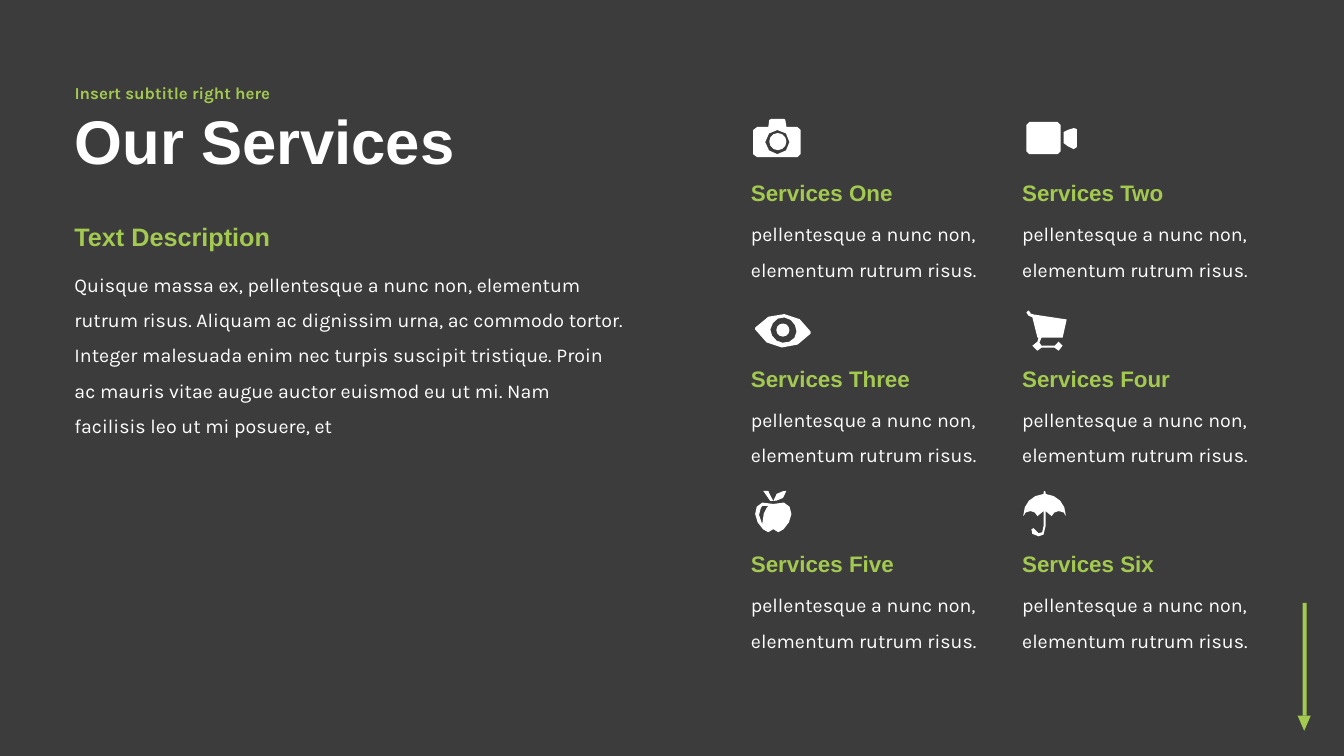
from dataclasses import dataclass
from math import ceil

from pptx import Presentation
from pptx.dml.color import RGBColor
from pptx.enum.shapes import MSO_SHAPE
from pptx.enum.text import MSO_ANCHOR, MSO_AUTO_SIZE, PP_ALIGN
from pptx.util import Inches, Pt


@dataclass(frozen=True)
class Theme:
    background: RGBColor = RGBColor(0x3C, 0x3C, 0x3C)
    accent: RGBColor = RGBColor(0xA3, 0xC9, 0x51)
    light: RGBColor = RGBColor(0xFF, 0xFF, 0xFF)
    heading_font: str = "Arial"
    body_font: str = "Karla"
    title_size: int = 44
    section_size: int = 18
    service_size: int = 16
    body_size: int = 14
    subtitle_size: int = 12


THEME = Theme()
UNIT = 100  # icon units per inch
FINE = 100  # freeform steps per icon unit
CHORD = 6  # icon units covered by one piece of a curve
MOST_CHORDS = 4

TITLE = dict(name=THEME.heading_font, size=Pt(THEME.title_size), bold=True, color=THEME.light)
SUBTITLE = dict(name=THEME.body_font, size=Pt(THEME.subtitle_size), bold=True, color=THEME.accent)
SECTION = dict(name=THEME.heading_font, size=Pt(THEME.section_size), bold=True, color=THEME.accent)
SERVICE = dict(SECTION, size=Pt(THEME.service_size))
BODY = dict(name=THEME.body_font, size=Pt(THEME.body_size), bold=False, color=THEME.light)

DESCRIPTION = (
    "Quisque massa ex, pellentesque a nunc non, elementum rutrum risus. "
    "Aliquam ac dignissim urna, ac commodo tortor. Integer malesuada enim nec "
    "turpis suscipit tristique. Proin ac mauris vitae augue auctor euismod eu "
    "ut mi. Nam facilisis leo ut mi posuere, et"
)
SERVICE_TEXT = "pellentesque a nunc non, elementum rutrum risus."

# Icons: "shapes" holds freeforms made of contours, "dot" an ellipse (x, y, diameter).
# A pair is a straight line to a point, six numbers are a cubic curve.
CAMERA = dict(at=(7.47, 1.18), dot=(16, 14, 17), shapes=[[
    [(44, 8), (33, 8), (32, 1), (32, 0, 31, 0, 31, 0), (18, 0), (17, 0, 17, 0, 16, 1),
     (15, 8), (4, 8), (2, 8, 0, 9, 0, 11), (0, 35), (0, 37, 2, 38, 4, 38), (44, 38),
     (46, 38, 47, 37, 47, 35), (47, 11), (47, 9, 46, 8, 44, 8)],
    [(24, 35), (18, 35, 12, 29, 12, 23), (12, 16, 18, 11, 24, 11),
     (31, 11, 36, 16, 36, 23), (36, 29, 31, 35, 24, 35)],
]])
CAMCORDER = dict(at=(10.18, 1.21), shapes=[
    [[(31, 0), (3, 0), (1, 0, 0, 2, 0, 3), (0, 29), (0, 30, 1, 32, 3, 32), (31, 32),
      (32, 32, 34, 30, 34, 29), (34, 3), (34, 2, 32, 0, 31, 0)]],
    [[(47, 6), (41, 8), (40, 9, 39, 10, 37, 10), (37, 21), (39, 22, 40, 23, 41, 24),
      (47, 27), (48, 27, 50, 27, 50, 25), (50, 7), (50, 6, 48, 5, 47, 6)]],
])
EYE = dict(at=(7.49, 3.05), dot=(21, 16, 13), shapes=[[
    [(0, 20), (0, 22), (11, 44, 41, 46, 55, 26), (55, 24), (45, 3, 14, 0, 0, 20)],
    [(27, 35), (21, 35, 15, 28, 15, 22), (16, 15, 22, 9, 29, 10),
     (36, 11, 41, 17, 41, 24), (41, 31, 34, 36, 27, 35)],
]])
CART = dict(at=(10.18, 3.08), shapes=[[
    [(32, 31), (30, 31, 29, 33, 28, 35), (15, 35), (15, 33, 14, 33, 13, 32), (15, 27),
     (36, 27), (40, 9), (7, 4), (4, 3), (4, 2), (4, 1, 4, 0, 2, 0), (0, 0, 0, 1, 0, 2),
     (0, 4, 0, 5, 2, 5), (6, 7), (11, 27), (12, 27), (11, 31), (8, 31, 6, 33, 6, 35),
     (6, 38, 8, 40, 11, 40), (13, 40, 14, 39, 15, 37), (28, 37),
     (29, 39, 30, 40, 32, 40), (35, 40, 36, 38, 36, 35), (36, 33, 35, 31, 32, 31)],
]])
APPLE = dict(at=(7.49, 4.87), shapes=[
    [[(18, 13), (4, 8, 0, 15, 0, 23), (0, 31, 9, 41, 13, 41), (18, 41, 18, 38, 18, 38),
      (18, 38, 18, 41, 23, 41), (27, 41, 36, 31, 36, 23), (36, 15, 31, 8, 18, 13)],
     [(7, 33), (0, 23, 7, 15, 7, 15), (13, 15), (13, 15, 7, 20, 7, 33)]],
    [[(18, 10), (15, 5, 13, 0, 13, 0), (8, 0), (15, 10)]],
    [[(31, 0), (31, 0, 18, 0, 18, 10), (18, 10, 31, 10, 31, 0)]],
])
UMBRELLA = dict(at=(10.15, 4.87), shapes=[[
    [(22, 3), (22, 1), (22, 1, 22, 0, 21, 0), (20, 0, 20, 1, 20, 1), (20, 3),
     (8, 4, 0, 13, 0, 24), (0, 25), (1, 22, 3, 20, 7, 20), (10, 20, 13, 22, 14, 25),
     (15, 23, 17, 20, 20, 20), (20, 35), (20, 42, 18, 42, 15, 42),
     (11, 42, 11, 41, 11, 38), (11, 37, 10, 37, 10, 37), (9, 37, 8, 37, 8, 38),
     (8, 41, 8, 45, 15, 45), (19, 45, 22, 44, 22, 35), (22, 20),
     (25, 20, 27, 23, 28, 25), (29, 22, 32, 20, 35, 20), (39, 20, 42, 22, 42, 25),
     (42, 24), (42, 13, 34, 4, 22, 3)],
]])
SERVICES = [
    ("Services One", CAMERA), ("Services Two", CAMCORDER),
    ("Services Three", EYE), ("Services Four", CART),
    ("Services Five", APPLE), ("Services Six", UMBRELLA),
]


def paint(shape, color):
    shape.shadow.inherit = False
    shape.fill.solid()
    shape.fill.fore_color.rgb = color
    shape.line.fill.background()


def add_preset(slide, kind, box, color, rotation=0):
    shape = slide.shapes.add_shape(kind, *map(Inches, box))
    shape.rotation = rotation
    paint(shape, color)


def write(shape, text, style, line_spacing, anchor, auto_size):
    frame = shape.text_frame
    settings = dict(text=text, word_wrap=True, vertical_anchor=anchor, auto_size=auto_size)
    for name, value in settings.items():
        setattr(frame, name, value)
    paragraph = frame.paragraphs[0]
    layout = dict(alignment=PP_ALIGN.LEFT, line_spacing=line_spacing, space_before=Pt(0))
    for name, value in layout.items():
        setattr(paragraph, name, value)
    font = paragraph.runs[0].font
    for name, value in style.items():
        if name == "color":
            font.color.rgb = value
        else:
            setattr(font, name, value)


def fill_placeholder(shape, box, text, style):
    for name, value in zip(("left", "top", "width", "height"), box):
        setattr(shape, name, Inches(value))
    write(shape, text, style, 0.9, MSO_ANCHOR.MIDDLE, MSO_AUTO_SIZE.NONE)


def add_text(slide, box, text, style, line_spacing=1.0):
    shape = slide.shapes.add_textbox(*map(Inches, box))
    write(shape, text, style, line_spacing, MSO_ANCHOR.TOP, MSO_AUTO_SIZE.SHAPE_TO_FIT_TEXT)


def trace(contour):
    """Turn lines and cubic curves into points, with more of them on longer curves."""
    points = [contour[0]]
    for segment in contour[1:]:
        start, end = points[-1], segment[-2:]
        span = max(abs(a - b) for a, b in zip(start, end))
        steps = 1 if len(segment) == 2 else min(MOST_CHORDS, ceil(span / CHORD))
        controls = [start, segment[:2], segment[2:4], end]
        for step in range(1, steps):
            t = step / steps
            weights = ((1 - t) ** 3, 3 * t * (1 - t) ** 2, 3 * t * t * (1 - t), t ** 3)
            points.append(tuple(sum(w * c[axis] for w, c in zip(weights, controls))
                                for axis in (0, 1)))
        points.append(end)
    return [(round(x * FINE), round(y * FINE)) for x, y in points]


def add_icon(slide, icon):
    left, top = icon["at"]
    for contours in icon["shapes"]:
        outlines = [trace(contour) for contour in contours]
        builder = slide.shapes.build_freeform(*outlines[0][0], scale=Inches(1) / (UNIT * FINE))
        for number, outline in enumerate(outlines):
            if number:
                builder.move_to(*outline[0])
            builder.add_line_segments(outline[1:], close=True)
        paint(builder.convert_to_shape(Inches(left), Inches(top)), THEME.light)
    if "dot" in icon:
        x, y, size = (value / UNIT for value in icon["dot"])
        add_preset(slide, MSO_SHAPE.OVAL, (left + x, top + y, size, size), THEME.light)


def main():
    presentation = Presentation()
    presentation.slide_width, presentation.slide_height = Inches(13.33), Inches(7.5)
    slide = presentation.slides.add_slide(presentation.slide_layouts[0])
    slide.background.fill.solid()
    slide.background.fill.fore_color.rgb = THEME.background

    # Down arrow in the corner
    add_preset(slide, MSO_SHAPE.RECTANGLE, (12.38, 6.52, 1.12, 0.04), THEME.accent, 90)
    add_preset(slide, MSO_SHAPE.ISOSCELES_TRIANGLE, (12.87, 7.1, 0.13, 0.15), THEME.accent, 180)

    # Headings and description
    fill_placeholder(slide.shapes.title, (0.64, 0.92, 7.5, 1.03), "Our Services", TITLE)
    fill_placeholder(slide.placeholders[1], (0.64, 0.74, 7.5, 0.38),
                     "Insert subtitle right here", SUBTITLE)
    add_text(slide, (0.64, 2.54, 5.65, 1.48), DESCRIPTION, BODY, 1.5)
    add_text(slide, (0.64, 2.15, 2.92, 0.4), "Text Description", SECTION)

    # Services in two columns
    for index, (name, icon) in enumerate(SERVICES):
        row, column = divmod(index, 2)
        left, top = 7.35 + 2.69 * column, 1.73 + 1.84 * row
        add_icon(slide, icon)
        add_text(slide, (left, top + 0.31, 2.57, 0.77), SERVICE_TEXT, BODY, 1.5)
        add_text(slide, (left, top, 2.17, 0.37), name, SERVICE)

    presentation.save("out.pptx")


if __name__ == "__main__":
    main()
